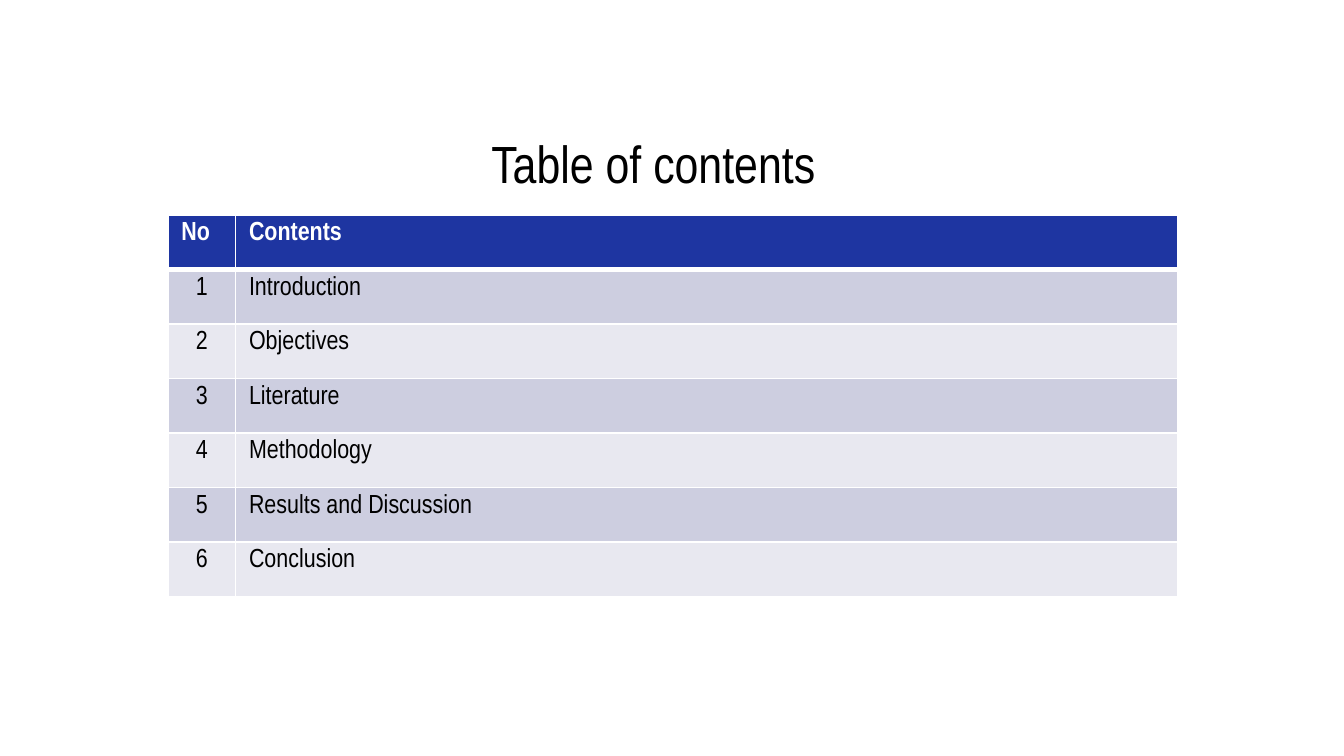
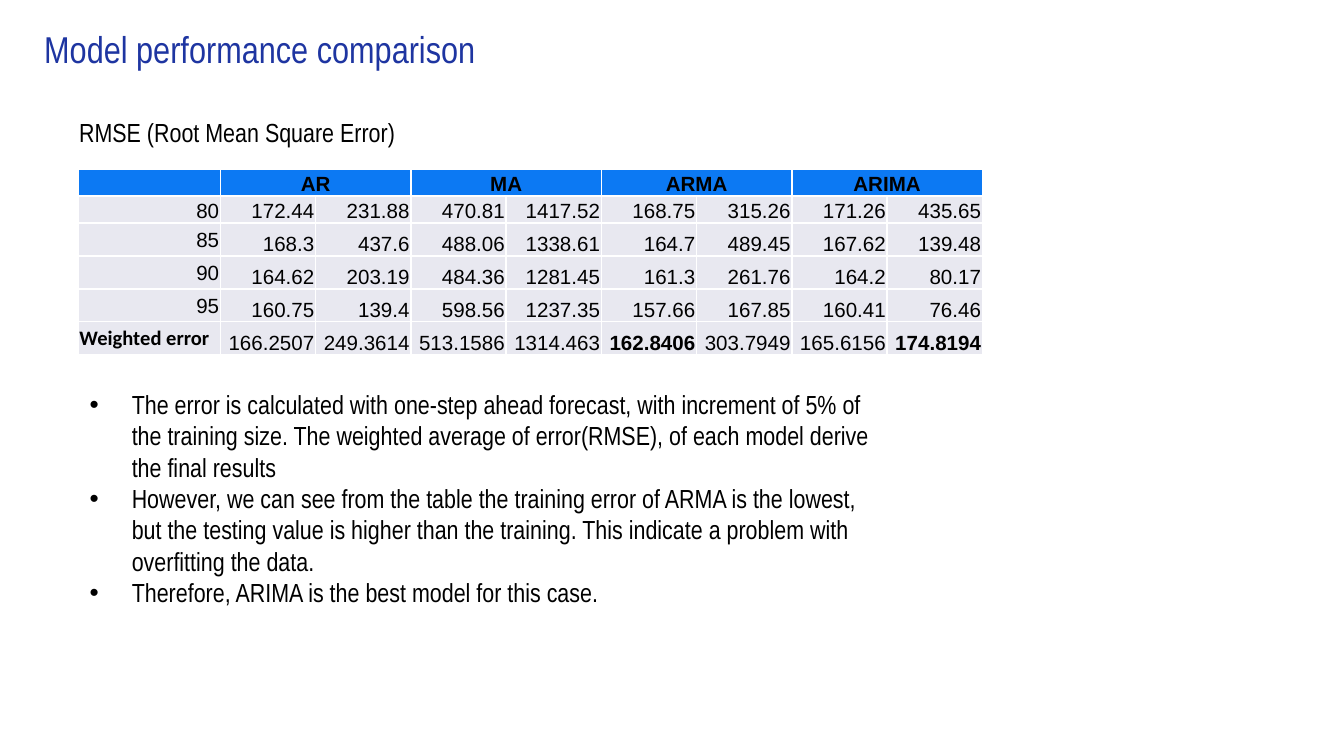
from lxml import etree
from pptx import Presentation
from pptx.dml.color import RGBColor
from pptx.enum import text as t
from pptx.oxml.ns import qn
from pptx.util import Pt

# Shared look
NARROW, SANS, LABEL = "Arial Narrow", "Arial", "Calibri"
BLACK, WHITE, NAVY, BLUE = "000000", "FFFFFF", "1E35A1", "0C79F3"
LILAC, PALE = "CDCEE0", "E8E8F0"
LEFT, CENTER, RIGHT = t.PP_ALIGN.LEFT, t.PP_ALIGN.CENTER, t.PP_ALIGN.RIGHT
TOP, MIDDLE, BOTTOM = t.MSO_ANCHOR.TOP, t.MSO_ANCHOR.MIDDLE, t.MSO_ANCHOR.BOTTOM
WIDE_INSETS = (7.2, 3.6, 7.2, 3.6)
TIGHT_INSETS = (0.7, 0.7, 0.7, 0)
LABEL_INSETS = (0.7, 2.2, 0.7, 2.2)
BULLET_INDENT = 22.5

# Slide content
CONTENTS = ["Introduction", "Objectives", "Literature", "Methodology",
            "Results and Discussion", "Conclusion"]
MODELS = ["AR", "MA", "ARMA", "ARIMA"]
ERRORS = [
    ("80", "172.44 231.88 470.81 1417.52 168.75 315.26 171.26 435.65"),
    ("85", "168.3 437.6 488.06 1338.61 164.7 489.45 167.62 139.48"),
    ("90", "164.62 203.19 484.36 1281.45 161.3 261.76 164.2 80.17"),
    ("95", "160.75 139.4 598.56 1237.35 157.66 167.85 160.41 76.46"),
    ("Weighted error", "166.2507 249.3614 513.1586 1314.463 "
                       "162.8406 303.7949 165.6156 174.8194"),
]
BEST_ERRORS = {"162.8406", "174.8194"}
FINDINGS = [
    "The error is calculated with one-step ahead forecast, with increment of 5% of "
    "the training size. The weighted average of error(RMSE), of each model derive "
    "the final results",
    "However, we can see from the table the training error of ARMA is the lowest, "
    "but the testing value is higher than the training. This indicate a problem "
    "with overfitting the data.",
    "Therefore, ARIMA is the best model for this case.",
]


def color(value):
    return RGBColor.from_string(value)


def write(para, content, size, name=NARROW, fill=BLACK, bold=False, align=LEFT):
    """Put one formatted span into a paragraph."""
    para.alignment = align
    if not content:
        etree.SubElement(para._p, qn("a:endParaRPr"), sz=str(size * 100))
        return
    span = para.add_run()
    span.text = content
    for key, value in {"size": Pt(size), "name": name, "bold": bold}.items():
        setattr(span.font, key, value)
    span.font.color.rgb = color(fill)


def add_bullet(para):
    props = para._p.get_or_add_pPr()
    indent = Pt(BULLET_INDENT)
    props.set("marL", str(indent))
    props.set("indent", str(-indent))
    bullet_color = etree.SubElement(props, qn("a:buClr"))
    etree.SubElement(bullet_color, qn("a:srgbClr"), val=BLACK)
    etree.SubElement(props, qn("a:buFont"), typeface=SANS)
    etree.SubElement(props, qn("a:buChar"), char="•")


def set_margins(target, insets):
    for side, inset in zip(("left", "top", "right", "bottom"), insets):
        setattr(target, f"margin_{side}", Pt(inset))


def add_text(page, place, lines, size, insets=WIDE_INSETS, anchor=TOP,
             bullets=False, **style):
    frame = page.shapes.add_textbox(*map(Pt, place)).text_frame
    set_margins(frame, insets)
    frame.word_wrap = True
    frame.vertical_anchor = anchor
    for index, line in enumerate(lines):
        para = frame.add_paragraph() if index else frame.paragraphs[0]
        if bullets:
            add_bullet(para)
        write(para, line, size, **style)


def set_borders(cell, widths):
    """Draw white borders; widths run left, right, top, bottom."""
    props = cell._tc.get_or_add_tcPr()
    for index, (side, width) in enumerate(zip("LRTB", widths)):
        line = etree.Element(qn(f"a:ln{side}"), w=str(Pt(width)))
        fill = etree.SubElement(line, qn("a:solidFill"))
        etree.SubElement(fill, qn("a:srgbClr"), val=WHITE)
        props.insert(index, line)


def add_grid(page, left, top, widths, heights):
    """Add an unstyled table with the given column widths and row heights."""
    frame = page.shapes.add_table(len(heights), len(widths), Pt(left), Pt(top),
                                  Pt(sum(widths)), Pt(sum(heights)))
    table = frame.table
    table.first_row = table.horz_banding = False
    for column, width in zip(table.columns, widths):
        column.width = Pt(width)
    for row, height in zip(table.rows, heights):
        row.height = Pt(height)
    return table


def fill_cell(cell, content, size, back, insets=WIDE_INSETS, anchor=TOP,
              borders=(1, 1, 1, 1), **style):
    cell.fill.solid()
    cell.fill.fore_color.rgb = color(back)
    cell.vertical_anchor = anchor
    set_margins(cell, insets)
    set_borders(cell, borders)
    write(cell.text_frame.paragraphs[0], content, size, **style)


def build_contents(page):
    # Table
    table = add_grid(page, 90, 115.2, [36.2, 504.8], [29.2] * (len(CONTENTS) + 1))
    for col, heading in enumerate(("No", "Contents")):
        fill_cell(table.cell(0, col), heading, 14, NAVY, fill=WHITE, bold=True,
                  borders=(1, 1, 1, 3))
    for row, topic in enumerate(CONTENTS, 1):
        back = LILAC if row % 2 else PALE
        borders = (1, 1, 3 if row == 1 else 1, 1)
        fill_cell(table.cell(row, 0), str(row), 14, back, align=CENTER, borders=borders)
        fill_cell(table.cell(row, 1), topic, 14, back, borders=borders)
    # Heading
    add_text(page, (79.2, 67, 541.4, 41), ["Table of contents"], 28, align=CENTER)


def build_comparison(page):
    # Headings
    add_text(page, (16.6, 7.9, 670, 36), ["Model performance comparison"], 20,
             insets=(7.2,) * 4, anchor=MIDDLE, fill=NAVY)
    add_text(page, (35.3, 59, 327, 24.5), ["RMSE (Root Mean Square Error)"], 14)
    # Findings
    add_text(page, (41, 204.5, 442.8, 126), FINDINGS, 14, bullets=True)
    # Error table: a training and a testing column per model
    table = add_grid(page, 41.8, 90.7, [76.3] + [51.05] * 2 * len(MODELS),
                     [14.4] * 2 + [17.1] * 4)
    tight = {"insets": TIGHT_INSETS, "anchor": BOTTOM, "name": SANS}
    headings = [""] + [part for model in MODELS for part in (model, "")]
    for col, heading in enumerate(headings):
        fill_cell(table.cell(0, col), heading, 11, BLUE, bold=True, align=CENTER, **tight)
    for col in range(1, len(headings), 2):
        table.cell(0, col).merge(table.cell(0, col + 1))
    for row, (label, values) in enumerate(ERRORS, 1):
        total = row == len(ERRORS)
        fill_cell(table.cell(row, 0), label, 11, PALE, anchor=BOTTOM,
                  insets=TIGHT_INSETS if row == 1 else LABEL_INSETS,
                  name=LABEL if total else SANS, bold=total,
                  align=LEFT if total else RIGHT)
        for col, value in enumerate(values.split(), 1):
            fill_cell(table.cell(row, col), value, 11, PALE,
                      bold=value in BEST_ERRORS, align=RIGHT, **tight)


def main():
    deck = Presentation()
    deck.slide_width, deck.slide_height = Pt(720), Pt(405)
    for build in (build_contents, build_comparison):
        build(deck.slides.add_slide(deck.slide_layouts[6]))
    deck.save("out.pptx")


if __name__ == "__main__":
    main()
